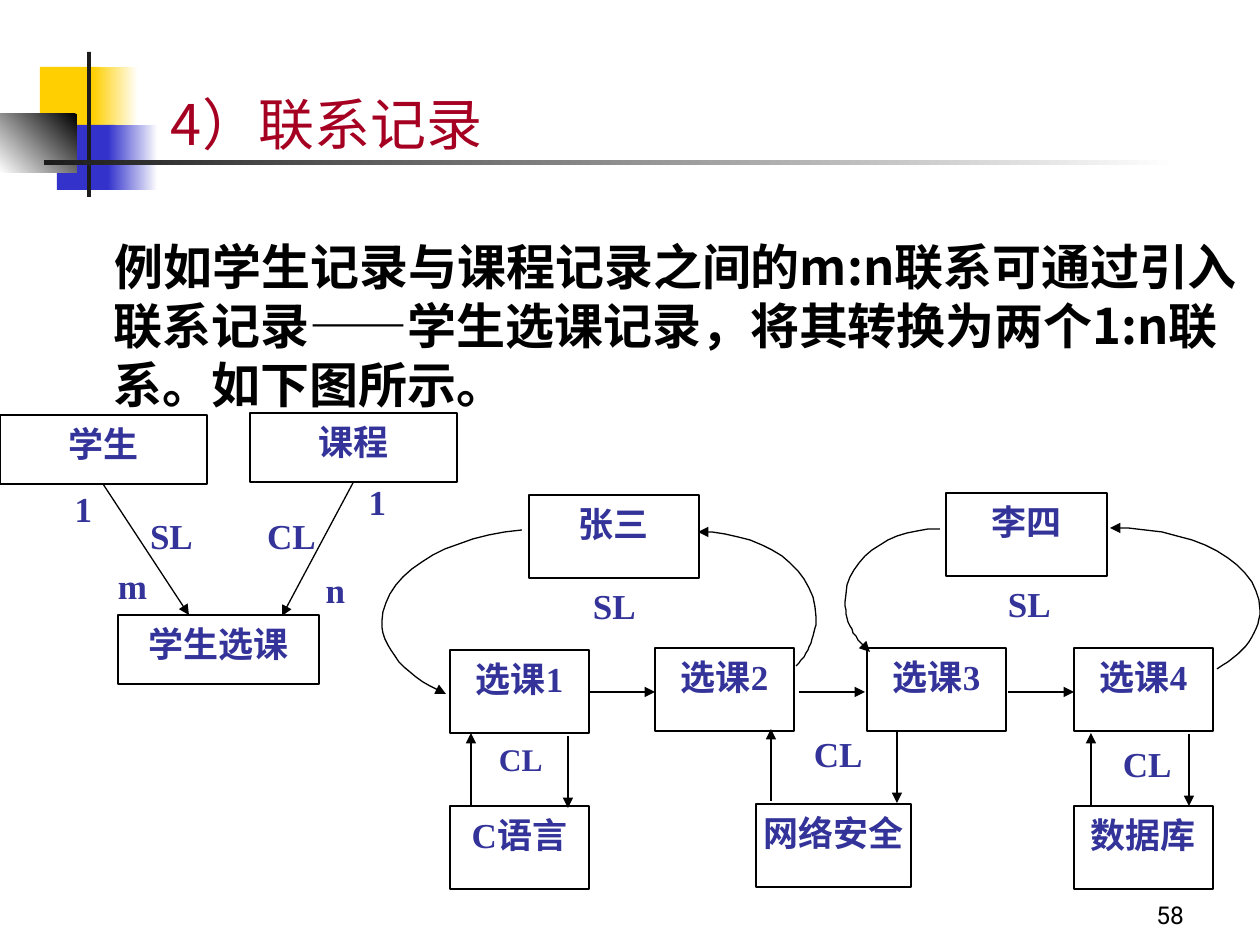
"""Build the slide on link records between students and courses."""
from lxml import etree
from pptx import Presentation
from pptx.dml.color import RGBColor
from pptx.enum.shapes import MSO_CONNECTOR, MSO_SHAPE
from pptx.enum.text import MSO_ANCHOR, PP_ALIGN
from pptx.oxml.ns import qn
from pptx.util import Inches, Pt

PX = Inches(1) // 126
RECT = MSO_SHAPE.RECTANGLE
LINE = MSO_CONNECTOR.STRAIGHT
TOP, BOTTOM = MSO_ANCHOR.TOP, MSO_ANCHOR.BOTTOM
LEFT, MID, RIGHT = PP_ALIGN.LEFT, PP_ALIGN.CENTER, PP_ALIGN.RIGHT
SANS, SERIF = "Noto Sans CJK SC", "Times New Roman"
color = RGBColor.from_string


def write(shape, text, size, face, hue, bold, align, anchor, pads):
    frame = shape.text_frame
    frame.text = text
    frame.word_wrap = True
    frame.vertical_anchor = anchor
    frame.margin_left, frame.margin_top, frame.margin_right, frame.margin_bottom = [
        pad * PX for pad in pads]
    para = frame.paragraphs[0]
    para.alignment = align
    font = para.runs[0].font
    font.size, font.name, font.bold = Pt(size), face, bold
    font.color.rgb = color(hue)
    etree.SubElement(font._element, qn("a:ea"), typeface=SANS)
    return para


def point(shape):
    shape.line.color.rgb = color("000000")
    shape.line.width = Pt(0.75)
    etree.SubElement(shape.line._get_or_add_ln(), qn("a:tailEnd"), type="triangle")


deck = Presentation()
deck.slide_width, deck.slide_height = 1260 * PX, 945 * PX
slide = deck.slides.add_slide(deck.slide_layouts[5])
shapes = slide.shapes

decor = [
    (40, 67, 60, 65, "FFCF01", None, 0),
    (93, 67, 45, 65, "FFCF01", "FFFFFF", 0),
    (57, 125, 58, 65, "3333CC", None, 0),
    (108, 125, 50, 65, "3333CC", "FFFFFF", 0),
    (0, 114, 77, 59, "000000", "FFFFFF", 225),
    (87, 52, 4, 145, "1C1C1C", None, 0),
    (44, 160, 1134, 5, "1C1C1C", "FFFFFF", 0),
]
for x, y, w, h, hue, fade, turn in decor:
    block = shapes.add_shape(RECT, x * PX, y * PX, w * PX, h * PX)
    block.shadow.inherit = False
    block.line.fill.background()
    if fade:
        block.fill.gradient()
        block.fill.gradient_angle = turn
        for stop, tone in zip(block.fill.gradient_stops, (hue, fade)):
            stop.color.rgb = color(tone)
    else:
        block.fill.solid()
        block.fill.fore_color.rgb = color(hue)

title = shapes.title
title.left, title.top, title.width, title.height = 158 * PX, 42 * PX, 457 * PX, 116 * PX
write(title, "4）联系记录", 32, SANS, "A50021", False, LEFT, BOTTOM, (13, 6, 13, 1))

body = shapes.add_textbox(53 * PX, 224 * PX, 1207 * PX, 294 * PX)
para = write(
    body,
    "\u3000例如学生记录与课程记录之间的m:n联系可通过引入联系记录――学生选课记录，"
    "将其转换为两个1:n联系。如下图所示。",
    28, SANS, "000000", True, LEFT, TOP, (13, 12, 13, 6))
para.line_spacing = Pt(33.7)
props = para._p.get_or_add_pPr()
props.set("marL", str(48 * PX))
props.set("indent", str(-48 * PX))

page = shapes.add_textbox(935 * PX, 872 * PX, 262 * PX, 63 * PX)
write(page, "58", 14, "Roboto", "000000", False, RIGHT, BOTTOM, (13, 6, 13, 6))

boxes = [
    ("学生", 0, 415, 207, 69),
    ("课程", 250, 413, 207, 69),
    ("学生选课", 118, 615, 201, 69),
    ("张三", 529, 495, 170, 83),
    ("李四", 946, 493, 161, 83),
    ("选课1", 450, 650, 139, 83),
    ("选课2", 655, 648, 139, 83),
    ("选课3", 867, 648, 139, 83),
    ("选课4", 1074, 648, 139, 83),
    ("C语言", 450, 806, 139, 83),
    ("网络安全", 756, 804, 155, 83),
    ("数据库", 1074, 806, 139, 83),
]
for text, x, y, w, h in boxes:
    box = shapes.add_shape(RECT, x * PX, y * PX, w * PX, h * PX)
    box.shadow.inherit = False
    box.fill.solid()
    box.fill.fore_color.rgb = color("FFFFFF")
    box.line.color.rgb = color("000000")
    box.line.width = Pt(0.75)
    para = write(box, text, 20, SERIF, "333399", True, MID, TOP, (0, 6, 0, 6))
    para.line_spacing = Pt(25)

labels = [
    ("1", 64, 486, 39, 20, MID),
    ("m", 106, 563, 53, 20, MID),
    ("SL", 145, 513, 53, 20, MID),
    ("1", 358, 479, 39, 20, MID),
    ("n", 309, 567, 53, 20, MID),
    ("CL", 265, 513, 53, 20, MID),
    ("SL", 593, 583, 53, 20, LEFT),
    ("SL", 1008, 581, 53, 20, LEFT),
    ("CL", 499, 738, 46, 18, LEFT),
    ("CL", 814, 731, 53, 20, LEFT),
    ("CL", 1123, 741, 53, 20, LEFT),
]
for text, x, y, w, size, align in labels:
    label = shapes.add_textbox(x * PX, y * PX, w * PX, 40 * PX)
    para = write(label, text, size, SERIF, "333399", True, align, TOP, (0, 0, 0, 0))
    para.line_spacing = Pt(size * 1.25)

arrows = [
    (103, 484, 189, 615), (353, 483, 282, 616),
    (589, 692, 655, 692), (799, 692, 865, 692), (1008, 692, 1074, 692),
    (471, 805, 471, 733), (568, 736, 568, 808),
    (771, 801, 771, 729), (897, 731, 897, 803),
    (1091, 805, 1091, 733), (1189, 734, 1189, 806),
]
for ends in arrows:
    arrow = shapes.add_connector(LINE, *[end * PX for end in ends])
    etree.SubElement(arrow._element.spPr, qn("a:effectLst"))
    point(arrow)

curves = [
    [(522, 530), (441, 538), (382, 577), (382, 621), (382, 649), (406, 677), (446, 694)],
    [(796, 666), (809, 652), (816, 635), (816, 617), (816, 570), (764, 531), (698, 532)],
    [(940, 529), (885, 528), (845, 562), (845, 602), (845, 621), (854, 639), (870, 652)],
    [(1217, 669), (1245, 653), (1260, 632), (1260, 610), (1260, 564), (1196, 527), (1110, 528)],
]
STEPS = 14
for knots in curves:
    track = []
    for first in (0, 3):
        for step in range(1, STEPS + 1):
            t = step / STEPS
            mix = ((1 - t) ** 3, 3 * t * (1 - t) ** 2, 3 * t * t * (1 - t), t ** 3)
            track.append(tuple(
                sum(m * knot[axis] for m, knot in zip(mix, knots[first:first + 4]))
                for axis in (0, 1)))
    pen = shapes.build_freeform(*knots[0], scale=PX)
    pen.add_line_segments(track, close=False)
    curve = pen.convert_to_shape()
    curve.shadow.inherit = False
    curve.fill.background()
    point(curve)

deck.save("out.pptx")
